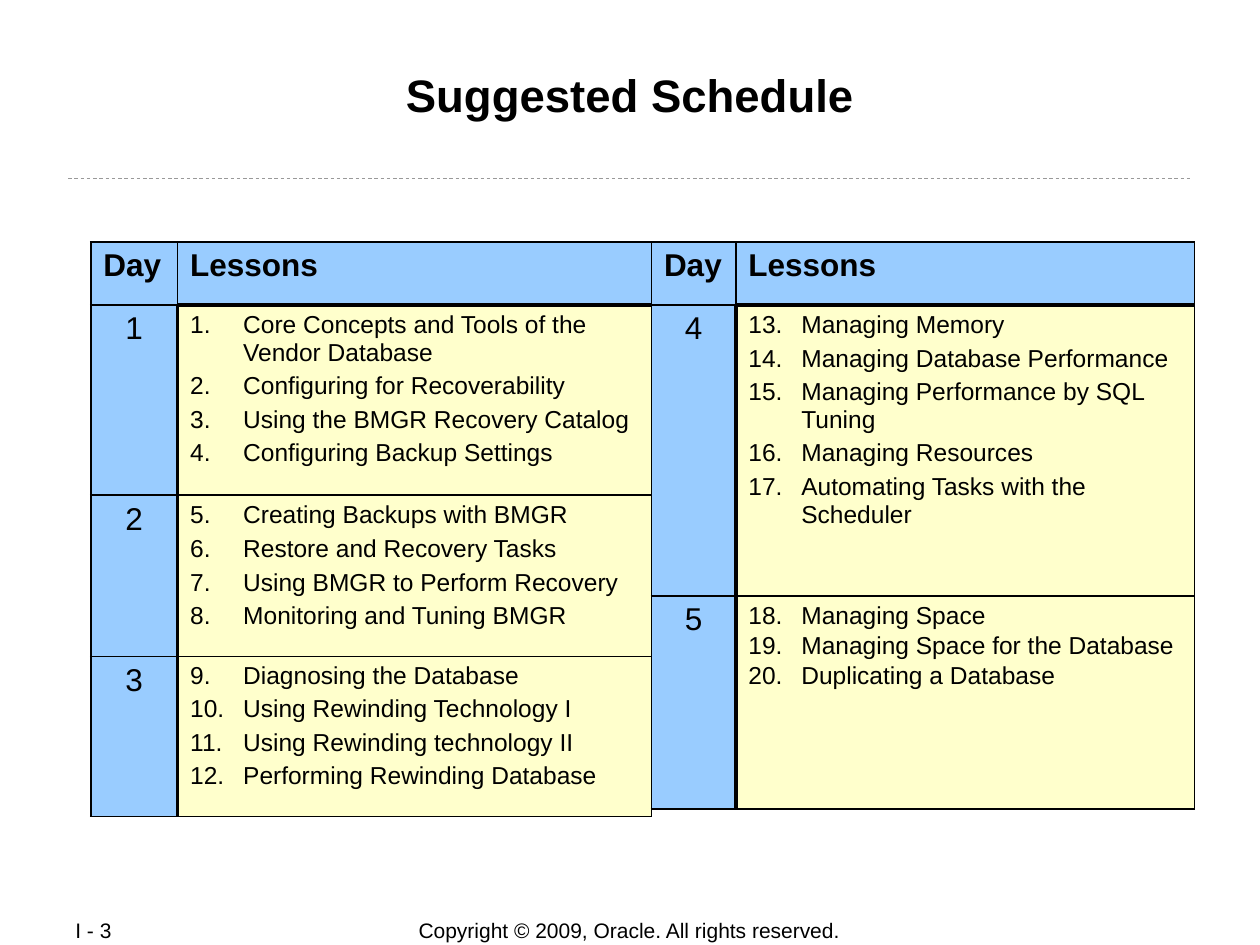
"""Build the suggested course schedule slide with two day-by-day lesson tables."""
from lxml.etree import SubElement
from pptx import Presentation
from pptx.dml.color import RGBColor
from pptx.enum.dml import MSO_LINE
from pptx.enum.shapes import MSO_CONNECTOR
from pptx.enum.text import MSO_ANCHOR, MSO_AUTO_SIZE, PP_ALIGN
from pptx.oxml.ns import qn
from pptx.util import Inches, Pt

BLACK = RGBColor(0x00, 0x00, 0x00)
GRAY = RGBColor(0x99, 0x99, 0x99)
BLUE = RGBColor(0x99, 0xCC, 0xFF)
CREAM = RGBColor(0xFF, 0xFF, 0xCC)
FONT = "Arial"
THIN, THICK = 1.08, 2.21
HEADER_HEIGHT = 0.5
TABLE_TOP = 1.92
NUMBER_INDENT = 0.42

TITLE = "Suggested Schedule"
HEADINGS = ("Day", "Lessons")
FOOTERS = [
    ("Copyright © 2009, Oracle. All rights reserved.", (2.75, 7.28, 4.49, 0.21), PP_ALIGN.CENTER),
    ("I - 3", (0.5, 7.28, 1.06, 0.2), PP_ALIGN.LEFT),
]
SCHEDULES = [
    {
        "left": 0.72,
        "columns": (0.69, 3.76),
        "days": [
            (1.51, 1, [
                "Core Concepts and Tools of the Vendor Database",
                "Configuring for Recoverability",
                "Using the BMGR Recovery Catalog",
                "Configuring Backup Settings",
            ]),
            (1.28, 1, [
                "Creating Backups with BMGR",
                "Restore and Recovery Tasks",
                "Using BMGR to Perform Recovery",
                "Monitoring and Tuning BMGR",
            ]),
            (1.27, 0.99, [
                "Diagnosing the Database",
                "Using Rewinding Technology I",
                "Using Rewinding technology II",
                "Performing Rewinding Database",
            ]),
        ],
    },
    {
        "left": 5.17,
        "columns": (0.67, 3.64),
        "days": [
            (2.31, 1, [
                "Managing Memory",
                "Managing Database Performance",
                "Managing Performance by SQL Tuning",
                "Managing Resources",
                "Automating Tasks with the Scheduler",
            ]),
            (1.69, 0.85, [
                "Managing Space",
                "Managing Space for the Database",
                "Duplicating a Database",
            ]),
        ],
    },
]


def write(para, text, size, bold=False, align=PP_ALIGN.LEFT):
    para.alignment = align
    span = para.add_run()
    span.text = text
    span.font.name = FONT
    span.font.size = Pt(size)
    span.font.bold = bold
    span.font.color.rgb = BLACK


def style_cell(cell, color, left=THIN, right=THIN, top=THIN, bottom=THIN):
    properties = cell._tc.get_or_add_tcPr()
    for side, width in zip("LRTB", (left, right, top, bottom)):
        border = SubElement(properties, qn(f"a:ln{side}"), w=str(Pt(width)))
        fill = SubElement(border, qn("a:solidFill"))
        SubElement(fill, qn("a:srgbClr"), val=str(BLACK))
    cell.fill.solid()
    cell.fill.fore_color.rgb = color
    cell.margin_left = cell.margin_right = Inches(0.1)
    cell.margin_top = cell.margin_bottom = Inches(0.05)


def number_paragraph(para, start):
    properties = para._p.get_or_add_pPr()
    properties.set("marL", str(Inches(NUMBER_INDENT)))
    properties.set("indent", str(-Inches(NUMBER_INDENT)))
    color = SubElement(properties, qn("a:buClr"))
    SubElement(color, qn("a:srgbClr"), val=str(BLACK))
    SubElement(properties, qn("a:buFont"), typeface=FONT)
    SubElement(properties, qn("a:buAutoNum"), type="arabicPeriod", startAt=str(start))


def write_lessons(frame, lessons, start, spacing):
    for index, lesson in enumerate(lessons):
        para = frame.add_paragraph() if index else frame.paragraphs[0]
        number_paragraph(para, start)
        if index:
            para.space_before = Pt(3.5)
        if spacing != 1 and (index or spacing > 0.9):
            para.line_spacing = spacing
        write(para, lesson, 14)


def add_schedule(page, schedule, first_day, first_lesson):
    columns, days = schedule["columns"], schedule["days"]
    heights = [HEADER_HEIGHT] + [height for height, _, _ in days]
    table = page.shapes.add_table(
        len(heights), len(columns), Inches(schedule["left"]), Inches(TABLE_TOP),
        Inches(sum(columns)), Inches(sum(heights))).table
    table.first_row = table.horz_banding = False
    for column, width in zip(table.columns, columns):
        column.width = Inches(width)
    for row, height in zip(table.rows, heights):
        row.height = Inches(height)
    for index, heading in enumerate(HEADINGS):
        cell = table.cell(0, index)
        style_cell(cell, BLUE, bottom=THICK if index else THIN)
        write(cell.text_frame.paragraphs[0], heading, 18, bold=True)
    for row, (_, spacing, lessons) in enumerate(days, 1):
        day_cell, lesson_cell = table.cell(row, 0), table.cell(row, 1)
        style_cell(day_cell, BLUE, right=THICK)
        write(day_cell.text_frame.paragraphs[0], str(first_day + row - 1), 18,
              align=PP_ALIGN.CENTER)
        style_cell(lesson_cell, CREAM, left=THICK, top=THICK if row == 1 else THIN)
        write_lessons(lesson_cell.text_frame, lessons, first_lesson, spacing)
        first_lesson += len(lessons)
    return first_day + len(days), first_lesson


def add_title(page):
    title = page.shapes.title
    title.left, title.top, title.width, title.height = map(Inches, (0.67, 0.48, 8.66, 0.96))
    frame = title.text_frame
    frame.auto_size = MSO_AUTO_SIZE.NONE
    frame.vertical_anchor = MSO_ANCHOR.TOP
    frame.margin_left = frame.margin_right = frame.margin_bottom = Inches(0.01)
    frame.margin_top = Inches(0.05)
    write(frame.paragraphs[0], TITLE, 26, bold=True, align=PP_ALIGN.CENTER)


def add_footer(page, text, place, align):
    frame = page.shapes.add_textbox(*map(Inches, place)).text_frame
    frame.word_wrap = True
    frame.vertical_anchor = MSO_ANCHOR.MIDDLE
    write(frame.paragraphs[0], text, 12, align=align)


def add_divider(page):
    divider = page.shapes.add_connector(
        MSO_CONNECTOR.STRAIGHT, Inches(0.54), Inches(1.42), Inches(9.46), Inches(1.42))
    divider.line.color.rgb = GRAY
    divider.line.width = Pt(0.5)
    divider.line.dash_style = MSO_LINE.DASH
    SubElement(divider._element.spPr, qn("a:effectLst"))


def main():
    deck = Presentation()
    deck.slide_width, deck.slide_height = Inches(10), Inches(7.5)
    page = deck.slides.add_slide(deck.slide_layouts[5])
    for footer in FOOTERS:
        add_footer(page, *footer)
    add_divider(page)
    add_title(page)
    day, lesson = 1, 1
    for schedule in SCHEDULES:
        day, lesson = add_schedule(page, schedule, day, lesson)
    deck.save("out.pptx")


if __name__ == "__main__":
    main()
